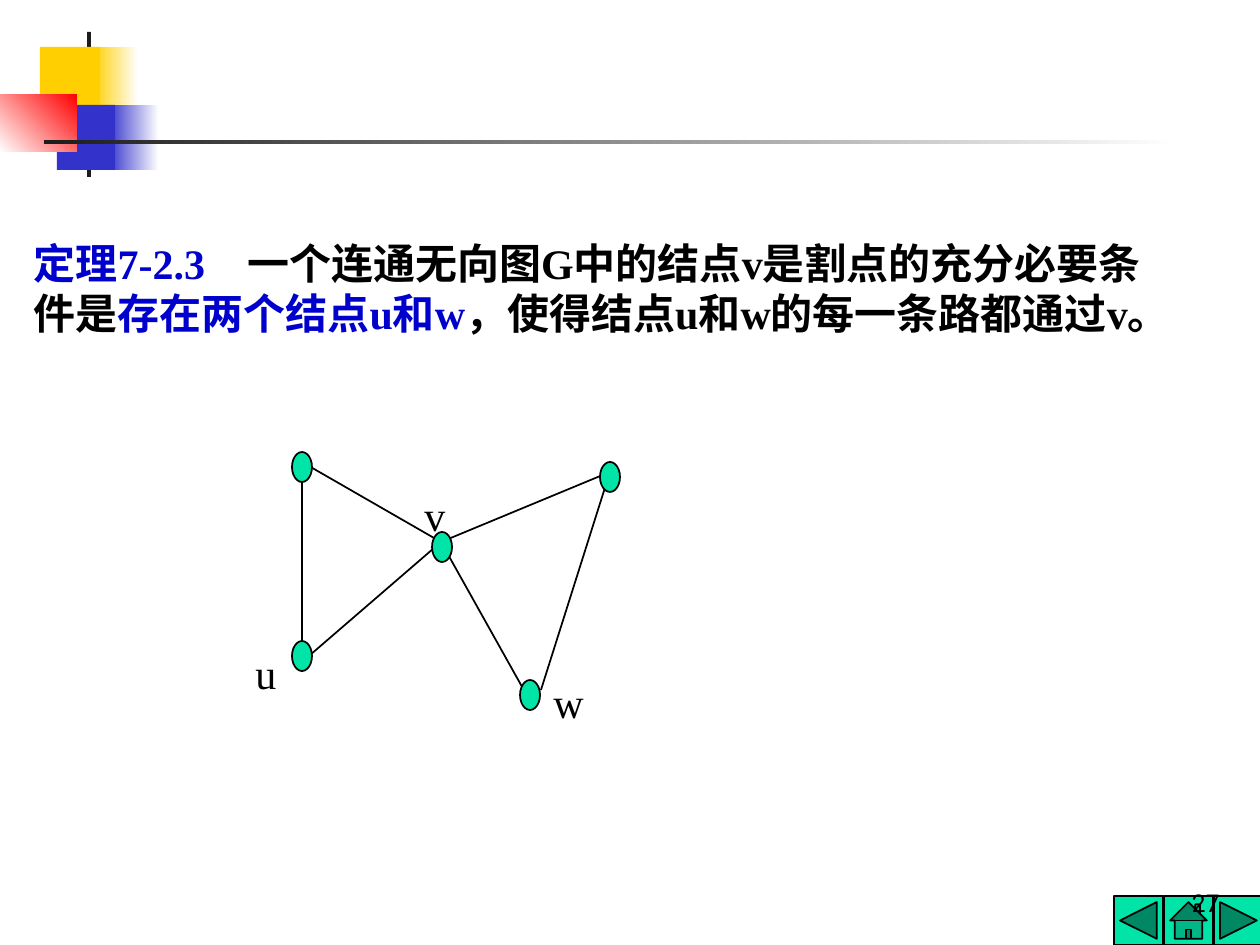
import pptx
import pptx.dml.color
import pptx.enum.shapes
import pptx.enum.text
import pptx.oxml
import pptx.oxml.ns
import pptx.util

PX = pptx.util.Inches(1) / 126
KIND = pptx.enum.shapes.MSO_SHAPE
TEXT = pptx.enum.text
THEME = {
    "ink": "000000", "blue": "0000CC", "node": "00E4A8", "gold": "FFCF01",
    "navy": "3333CC", "dark": "1C1C1C", "red": "FF0000", "white": "FFFFFF",
    "face": "Times New Roman", "plain": "Roboto",
    "size": pptx.util.Pt(24), "small": pptx.util.Pt(14), "line": pptx.util.Pt(1),
}


def tint(name):
    return pptx.dml.color.RGBColor.from_string(THEME[name])


def write(frame, runs, form, fit, align=TEXT.PP_ALIGN.LEFT):
    for key, val in fit.items():
        setattr(frame, key, val)
    para = frame.paragraphs[0]
    para.alignment = align
    for words, hue in runs:
        run = para.add_run()
        run.text = words
        for key, val in form.items():
            setattr(run.font, key, val)
        run.font.color.rgb = tint(hue)


deck = pptx.Presentation()
deck.slide_width, deck.slide_height = int(1260 * PX), int(945 * PX)
slide = deck.slides.add_slide(deck.slide_layouts[1])
shapes = slide.shapes
title = shapes.title.element
title.getparent().remove(title)

bands = [
    (93, 47, 45, 65, ["gold", "white"], 0),
    (108, 105, 51, 65, ["navy", "white"], 0),
    (87, 32, 4, 145, ["dark"], 0),
    (40, 47, 60, 65, ["gold"], 0),
    (57, 105, 58, 65, ["navy"], 0),
    (0, 94, 77, 58, ["white", "red"], 45),
    (44, 140, 1134, 4, ["dark", "white"], 0),
]
for *box, hues, angle in bands:
    band = shapes.add_shape(KIND.RECTANGLE, *[int(n * PX) for n in box])
    band.shadow.inherit = False
    band.line.fill.background()
    if len(hues) == 1:
        band.fill.solid()
        band.fill.fore_color.rgb = tint(hues[0])
    else:
        band.fill.gradient()
        band.fill.gradient_angle = angle
        for stop, hue, spot in zip(band.fill.gradient_stops, hues, (0, 1)):
            stop.color.rgb = tint(hue)
            stop.position = spot

spots = {"top": (302, 467), "u": (302, 656), "v": (442, 547), "far": (610, 477), "w": (530, 695)}
edges = [
    (302, 462, 302, 662), (302, 662, 441, 542), (302, 462, 441, 542),
    (441, 542, 610, 472), (441, 542, 530, 701), (610, 472, 541, 690),
]
for edge in edges:
    link = shapes.add_connector(pptx.enum.shapes.MSO_CONNECTOR.STRAIGHT, *[int(n * PX) for n in edge])
    link.line.color.rgb = tint("ink")
    link.line.width = THEME["line"]
    link._element.spPr.append(pptx.oxml.parse_xml("<a:effectLst %s/>" % pptx.oxml.ns.nsdecls("a")))

marks = [(KIND.OVAL, x - 10, y - 15, 20, 30) for x, y in spots.values()]
keys = [KIND.ACTION_BUTTON_BACK_OR_PREVIOUS, KIND.ACTION_BUTTON_HOME, KIND.ACTION_BUTTON_FORWARD_OR_NEXT]
marks += [(key, 1114 + 50 * i, 896, 49, 49) for i, key in enumerate(keys)]
for kind, *box in marks:
    mark = shapes.add_shape(kind, *[int(n * PX) for n in box])
    mark.shadow.inherit = False
    mark.fill.solid()
    mark.fill.fore_color.rgb = tint("node")
    mark.line.color.rgb = tint("ink")
    mark.line.width = THEME["line"]

body = slide.placeholders[1]
for key, val in zip(("left", "top", "width", "height"), (21, 231, 1166, 164)):
    setattr(body, key, int(val * PX))
para = body.text_frame.paragraphs[0]
props = para._p.get_or_add_pPr()
props.set("marL", "0")
props.set("indent", "0")
props.append(pptx.oxml.parse_xml("<a:buNone %s/>" % pptx.oxml.ns.nsdecls("a")))
para.space_before = pptx.util.Pt(0)
fit = {"word_wrap": True, "auto_size": TEXT.MSO_AUTO_SIZE.SHAPE_TO_FIT_TEXT, "vertical_anchor": TEXT.MSO_ANCHOR.TOP}
form = {"name": THEME["face"], "size": THEME["size"], "bold": False}
write(body.text_frame, [
    ("定理7-2.3　", "blue"),
    ("一个连通无向图G中的结点v是割点的充分必要条件是", "ink"),
    ("存在两个结点u和w", "blue"),
    ("，使得结点u和w的每一条路都通过v。", "ink"),
], {**form, "bold": True}, fit)

for name, x, y in [("v", 412, 483), ("w", 541, 670), ("u", 243, 641)]:
    label = shapes.add_textbox(*[int(n * PX) for n in (x, y, 49, 63)])
    write(label.text_frame, [(name, "ink")], form, fit)

page = shapes.add_textbox(*[int(n * PX) for n in (970, 861, 262, 63)])
write(page.text_frame, [("27", "ink")], {"name": THEME["plain"], "size": THEME["small"]},
      {"word_wrap": True, "vertical_anchor": TEXT.MSO_ANCHOR.BOTTOM}, TEXT.PP_ALIGN.RIGHT)

deck.save("out.pptx")
